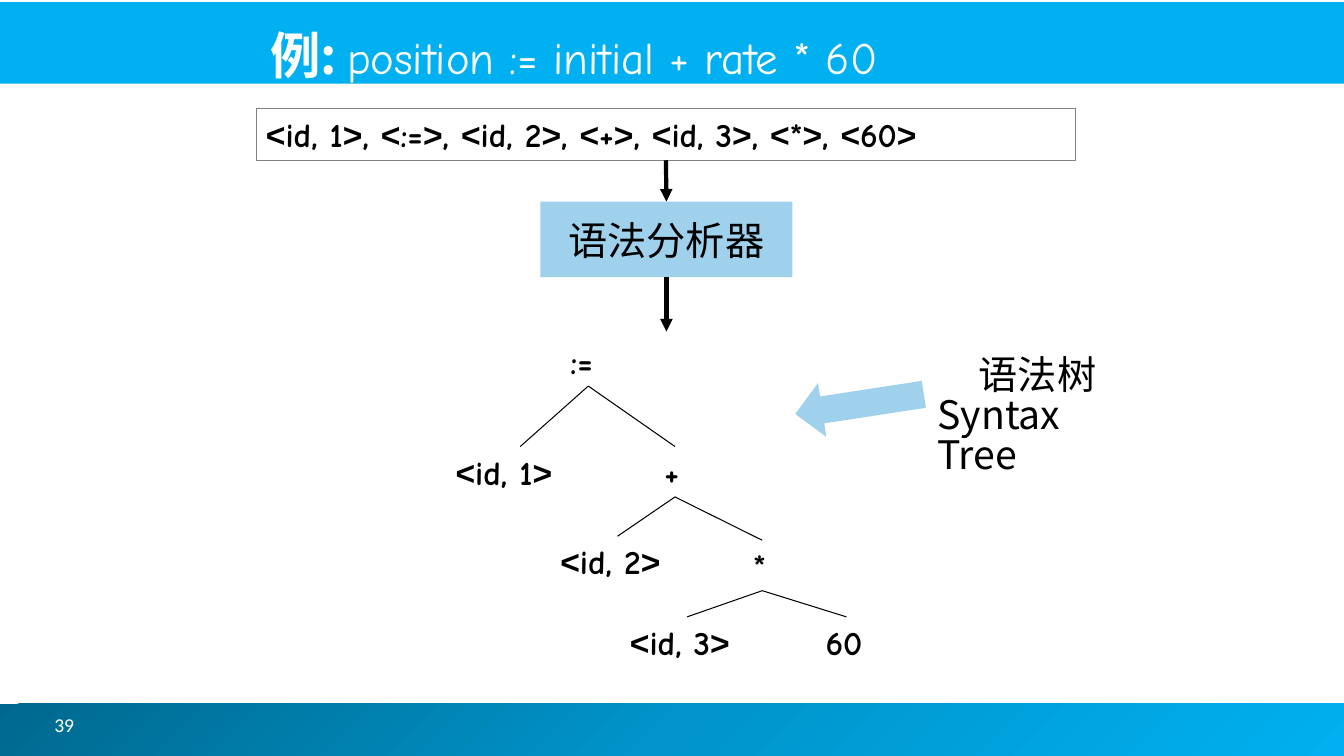
import copy
import itertools

import pptx
import pptx.dml.color
import pptx.enum.shapes
import pptx.enum.text
import pptx.oxml.ns
import pptx.util

RGBColor = pptx.dml.color.RGBColor
SHAPE = pptx.enum.shapes.MSO_SHAPE
ANCHOR = pptx.enum.text.MSO_ANCHOR
ALIGN = pptx.enum.text.PP_ALIGN

WHITE = RGBColor(0xFF, 0xFF, 0xFF)
BLACK = RGBColor(0, 0, 0)
GRAY = RGBColor(0x80, 0x80, 0x80)
BRIGHT_BLUE = RGBColor(0, 0xB0, 0xF0)
PALE_BLUE = RGBColor(0x9F, 0xD0, 0xEC)
FOOTER_STOPS = [(0, RGBColor(0, 0x68, 0x8E)), (0.5, RGBColor(0, 0x94, 0xCA)), (1, BRIGHT_BLUE)]

CJK = "Noto Sans CJK JP"
COMIC = "Comic Neue"
PX = 9144

TITLE = [("例:", CJK, 36, True), (" ", CJK, 32, True),
         ("position := initial + rate * 60", COMIC, 32, False)]
TOKENS = "<id, 1>, <:=>, <id, 2>, <+>, <id, 3>, <*>, <60>"
PARSER = "语法分析器"
TREE_NAMES = [("语法树", ALIGN.CENTER), ("Syntax Tree", ALIGN.LEFT)]
PAGE_NUMBER = "39"

TREE_NODES = {
    ":=": (556, 333, 55),
    "<id, 1>": (442, 443, 148),
    "+": (649, 443, 41),
    "<id, 2>": (546, 532, 133),
    "*": (737, 536, 38),
    "<id, 3>": (615, 612, 133),
    "60": (809, 612, 61),
}
NODE_HEIGHT = 50
TREE_EDGES = [(":=", "<id, 1>"), (":=", "+"), ("+", "<id, 2>"), ("+", "*"),
              ("*", "<id, 3>"), ("*", "60")]


def emu(lengths):
    return [length * PX for length in lengths]


def code_runs(text):
    for bracket, letters in itertools.groupby(text, lambda letter: letter in "<>"):
        yield "".join(letters), "Arial" if bracket else COMIC, 24, True


def write(shape, *paragraphs, color=BLACK, align=ALIGN.LEFT, anchor=ANCHOR.TOP, spacing=None):
    frame = shape.text_frame
    frame.word_wrap = True
    frame.vertical_anchor = anchor
    for index, runs in enumerate(paragraphs):
        paragraph = frame.add_paragraph() if index else frame.paragraphs[0]
        paragraph.alignment = align
        paragraph.line_spacing = spacing
        for text, font_name, size, bold in runs:
            run = paragraph.add_run()
            run.text = text
            run.font.name = font_name
            run.font.size = pptx.util.Pt(size)
            run.font.bold = bold
            run.font.color.rgb = color
            east_asian = run.font._element.makeelement(
                pptx.oxml.ns.qn("a:ea"), {"typeface": font_name})
            run.font._element.append(east_asian)
    return frame


def add_block(shapes, box, fill=None, line=None, preset=SHAPE.RECTANGLE):
    shape = shapes.add_shape(preset, *emu(box))
    shape.shadow.inherit = False
    if fill is None:
        shape.fill.background()
    else:
        shape.fill.solid()
        shape.fill.fore_color.rgb = fill
    if line is None:
        shape.line.fill.background()
    else:
        shape.line.color.rgb = line
        shape.line.width = pptx.util.Pt(0.75)
    return shape


def add_link(shapes, start, end, width, arrow=False):
    if end is None:
        target = (start.left + start.width // 2, 329 * PX)
    else:
        target = (end.left + end.width // 2, end.top)
    link = shapes.add_connector(pptx.enum.shapes.MSO_CONNECTOR.STRAIGHT,
                                start.left + start.width // 2, start.top + start.height, *target)
    link.begin_connect(start, 2)
    if end is not None:
        link.end_connect(end, 0)
    link.line.color.rgb = BLACK
    link.line.width = pptx.util.Pt(width)
    properties = link._element.spPr
    if arrow:
        line = link.line._get_or_add_ln()
        line.append(line.makeelement(pptx.oxml.ns.qn("a:tailEnd"), {"type": "triangle"}))
    properties.append(properties.makeelement(pptx.oxml.ns.qn("a:effectLst"), {}))


def fill_gradient(shape, stops):
    shape.fill.gradient()
    shape.fill.gradient_angle = 315
    stop_list = shape.fill._xPr.find(".//" + pptx.oxml.ns.qn("a:gsLst"))
    stop_list.append(copy.deepcopy(stop_list[-1]))
    for stop, (position, color) in zip(shape.fill.gradient_stops, stops):
        stop.position = position
        stop.color.rgb = color


def add_tree(shapes):
    tree = shapes.add_group_shape().shapes
    nodes = {}
    for label, (left, top, width) in TREE_NODES.items():
        nodes[label] = tree.add_textbox(*emu((left, top, width, NODE_HEIGHT)))
        write(nodes[label], code_runs(label))
    for parent, child in TREE_EDGES:
        add_link(tree, nodes[parent], nodes[child], 0.75)


def main():
    presentation = pptx.Presentation()
    presentation.slide_width, presentation.slide_height = emu((1333, 750))
    slide = presentation.slides.add_slide(presentation.slide_layouts[6])
    shapes = slide.shapes

    fill_gradient(add_block(shapes, (-5, 698, 1339, 52)), FOOTER_STOPS)
    add_block(shapes, (-2, 2, 1336, 81), BRIGHT_BLUE)
    title = shapes.add_textbox(*emu((258, 1, 800, 83)))
    write(title, TITLE, color=WHITE, anchor=ANCHOR.BOTTOM).margin_bottom = 0
    number = shapes.add_textbox(*emu((44, 694, 289, 50)))
    write(number, [(PAGE_NUMBER, "Calibri", 14, False)], color=WHITE, anchor=ANCHOR.MIDDLE)

    tokens = add_block(shapes, (254, 108, 813, 51), line=GRAY)
    write(tokens, code_runs(TOKENS))
    parser = add_block(shapes, (536, 200, 250, 75), PALE_BLUE)
    write(parser, [(PARSER, CJK, 28, False)], align=ALIGN.CENTER, anchor=ANCHOR.MIDDLE)
    add_link(shapes, tokens, parser, 3, arrow=True)
    add_link(shapes, parser, None, 3, arrow=True)

    pointer = add_block(shapes, (788, 374, 129, 54), PALE_BLUE, preset=SHAPE.RIGHT_ARROW)
    pointer.rotation = 171.3
    names = shapes.add_textbox(*emu((920, 350, 218, 104)))
    frame = write(names, *[[(text, CJK, 28, False)] for text, align in TREE_NAMES], spacing=0.85)
    for paragraph, (text, align) in zip(frame.paragraphs, TREE_NAMES):
        paragraph.alignment = align

    add_tree(shapes)
    presentation.save("out.pptx")


if __name__ == "__main__":
    main()
